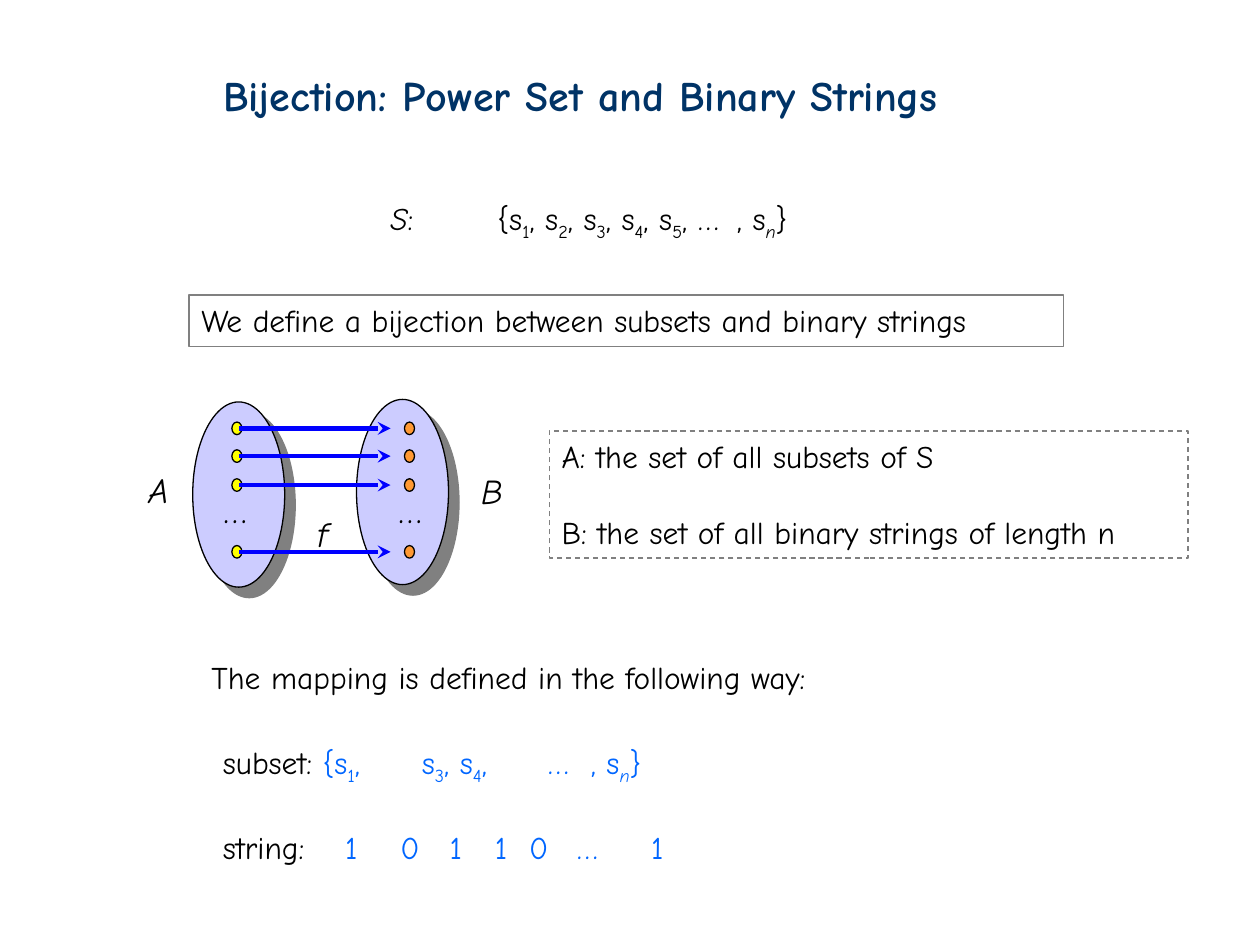
from lxml.etree import SubElement
from pptx import Presentation
from pptx.dml.color import RGBColor
from pptx.enum.dml import MSO_LINE
from pptx.enum.shapes import MSO_CONNECTOR, MSO_SHAPE
from pptx.enum.text import MSO_ANCHOR, MSO_AUTO_SIZE, PP_ALIGN
from pptx.oxml.ns import qn
from pptx.util import Inches, Pt

FONT = "Comic Neue"
BLACK, GRAY, NAVY = "000000", "808080", "003366"
BLUE, ARROW_BLUE = "0066FF", "0000FF"
LAVENDER, YELLOW, ORANGE = "CCCCFF", "FFFF00", "FF9933"


def rgb(value):
    return RGBColor.from_string(value)


def place(item, left, top, width, height):
    item.left, item.top = Inches(left), Inches(top)
    item.width, item.height = Inches(width), Inches(height)


def prepare(box):
    frame = box.text_frame
    frame.word_wrap = True
    frame.auto_size = MSO_AUTO_SIZE.NONE
    frame.vertical_anchor = MSO_ANCHOR.TOP
    return frame.paragraphs[0]


def write(para, text, size=18, color=BLACK, bold=False, italic=False,
          align=PP_ALIGN.LEFT):
    """Add text to a paragraph; the character after each underscore is a subscript."""
    para.alignment = align
    first, *rest = text.split("_")
    pieces = [(first, False)]
    for part in rest:
        pieces += [(part[0], True), (part[1:], False)]
    for piece, subscript in pieces:
        span = para.add_run()
        span.text = piece
        font = span.font
        font.name, font.size, font.bold = FONT, Pt(size), bold
        font.italic = italic or (subscript and piece.isalpha())
        font.color.rgb = rgb(color)
        if subscript:
            span._r.get_or_add_rPr().set("baseline", "-25000")


def set_tabs(para, stops):
    tabs = SubElement(para._p.get_or_add_pPr(), qn("a:tabLst"))
    for stop in stops:
        SubElement(tabs, qn("a:tab"), pos=str(Inches(stop)), algn="l")


def add_text(shapes, left, top, width, height):
    box = shapes.add_textbox(Inches(left), Inches(top), Inches(width), Inches(height))
    return prepare(box)


def add_outline(shapes, kind, left, top, width, height, line, fill=None):
    shape = shapes.add_shape(kind, Inches(left), Inches(top),
                             Inches(width), Inches(height))
    shape.shadow.inherit = False
    if fill:
        shape.fill.solid()
        shape.fill.fore_color.rgb = rgb(fill)
    else:
        shape.fill.background()
    shape.line.color.rgb = rgb(line)
    shape.line.width = Pt(0.75)
    return shape


def add_set(shapes, left, top):
    oval = add_outline(shapes, MSO_SHAPE.OVAL, left, top, 0.73, 1.47, BLACK, LAVENDER)
    effects = oval._element.spPr.find(qn("a:effectLst"))
    shadow = SubElement(effects, qn("a:outerShdw"), dist=str(Pt(8.5)),
                        dir="2700000", algn="ctr", rotWithShape="0")
    SubElement(shadow, qn("a:srgbClr"), val=GRAY)


def add_arrow(shapes, start, end, level):
    arrow = shapes.add_connector(MSO_CONNECTOR.STRAIGHT, Inches(start), Inches(level),
                                 Inches(end), Inches(level))
    arrow.line.color.rgb = rgb(ARROW_BLUE)
    arrow.line.width = Pt(2.5)
    SubElement(arrow.line._get_or_add_ln(), qn("a:tailEnd"), type="stealth")
    SubElement(arrow._element.spPr, qn("a:effectLst"))


def add_mapping_diagram(page):
    shapes = page.shapes.add_group_shape().shapes
    add_set(shapes, 1.53, 3.19)
    add_set(shapes, 2.83, 3.17)
    for level in (3.35, 3.57, 3.8, 4.33):
        for left, fill in ((1.84, YELLOW), (3.21, ORANGE)):
            add_outline(shapes, MSO_SHAPE.OVAL, left, level, 0.08, 0.1, BLACK, fill)
        add_arrow(shapes, 1.9, 3.1, level + 0.05)
    for label, left, top in (("A", 1.08, 3.67), ("B", 3.72, 3.68), ("f", 2.42, 4.02)):
        write(add_text(shapes, left, top, 0.4, 0.43), label, size=20, italic=True)
    for left in (1.67, 3.06):
        write(add_text(shapes, left, 3.83, 0.39, 0.43), "…", size=20,
              align=PP_ALIGN.CENTER)


def add_statements(page):
    box = add_outline(page.shapes, MSO_SHAPE.RECTANGLE, 1.5, 2.34, 6.94, 0.41, GRAY)
    write(prepare(box), "We define a bijection between subsets and binary strings")

    box = add_outline(page.shapes, MSO_SHAPE.RECTANGLE, 4.36, 3.42, 5.07, 1.01, GRAY)
    box.line.dash_style = MSO_LINE.DASH
    write(prepare(box), "A: the set of all subsets of S")
    para = box.text_frame.add_paragraph()
    para.space_before = Pt(21.5)
    write(para, "B: the set of all binary strings of length n")

    write(add_text(page.shapes, 1.58, 5.17, 5.32, 0.4),
          "The mapping is defined in the following way:")


def add_sequences(page):
    para = add_text(page.shapes, 3, 1.53, 4, 0.4)
    write(para, "S", italic=True)
    write(para, ":\t{s_1, s_2, s_3, s_4, s_5, …\t, s_n}")
    set_tabs(para, (0.85, 2.75))

    rows = (
        (5.85, "subset: ", "{s_1,\ts_3, s_4,\t…\t, s_n}", (1.58, 2.58, 2.92)),
        (6.52, "string:", "\t1\t0\t1\t1\t0\t…\t1",
         (0.97, 1.41, 1.8, 2.16, 2.43, 2.81, 3.4)),
    )
    for top, label, values, stops in rows:
        para = add_text(page.shapes, 1.67, top, 3.92, 0.4)
        write(para, label)
        write(para, values, color=BLUE)
        set_tabs(para, stops)


def main():
    deck = Presentation()
    deck.slide_width, deck.slide_height = Inches(10), Inches(7.5)
    page = deck.slides.add_slide(deck.slide_layouts[5])
    title = page.shapes.title
    place(title, 1.67, 0.5, 6.68, 0.5)
    write(prepare(title), "Bijection: Power Set and Binary Strings",
          size=24, color=NAVY, bold=True)
    add_sequences(page)
    add_mapping_diagram(page)
    add_statements(page)
    deck.save("out.pptx")


if __name__ == "__main__":
    main()
